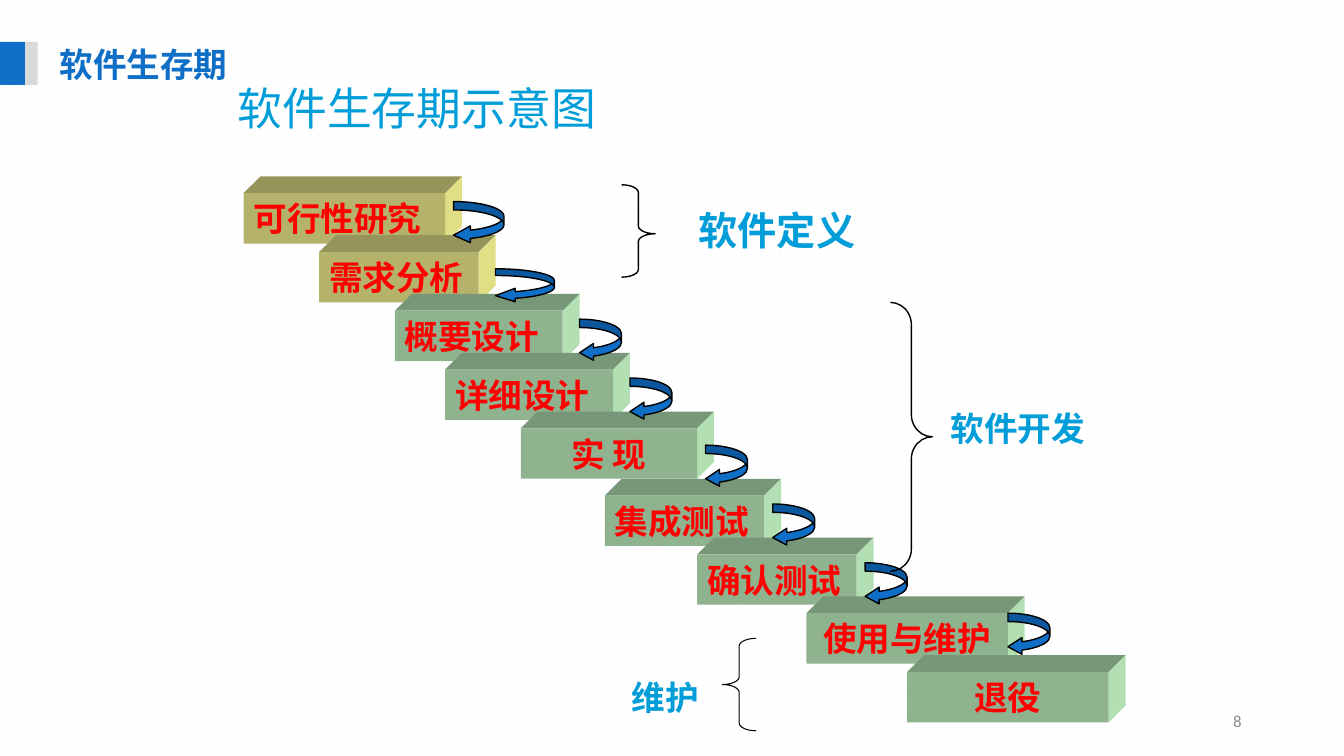
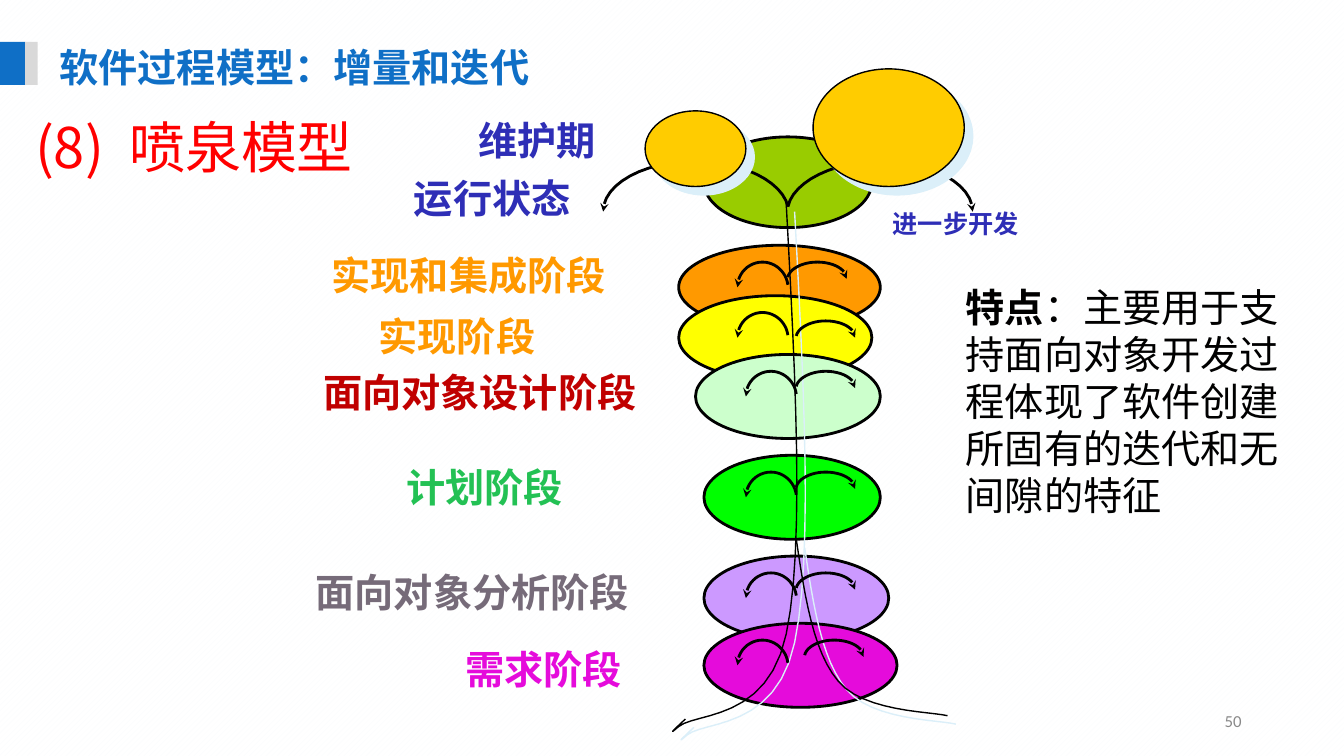
from pptx import Presentation, util as u
from pptx.dml.color import RGBColor
from pptx.enum import dml, shapes, text
from pptx.oxml import parse_xml
from pptx.oxml.ns import nsdecls, qn

COLUMNS, ROWS = 160, 90
CELL = u.Inches(1) // 12
KIND = shapes.MSO_SHAPE
CENTER, LEFT, RIGHT = text.PP_ALIGN.CENTER, text.PP_ALIGN.LEFT, text.PP_ALIGN.RIGHT
SANS, SERIF = "Noto Sans CJK SC", "Times New Roman"
BLUE, CYAN, RED, BLACK = "0F6FC6", "009DD9", "FF0000", "000000"
INDIGO, ORANGE, MAGENTA = "2E2EB6", "FF9900", "E50BDB"
OLIVE_FACES = ("B4B26B", "96945A", "E0DF85")
GREEN_FACES = ("8FB38F", "789778", "B3E0B3")
BLOCK_HEIGHT, BLOCK_DEPTH = 6, 2

BLOCKS = [
    (29, 23, 24, "可行性研究", OLIVE_FACES, LEFT),
    (38, 30, 19, "需求分析", OLIVE_FACES, LEFT),
    (47, 37, 20, "概要设计", GREEN_FACES, LEFT),
    (53, 44, 20, "详细设计", GREEN_FACES, LEFT),
    (62, 51, 21, "实 现", GREEN_FACES, CENTER),
    (72, 59, 19, "集成测试", GREEN_FACES, LEFT),
    (83, 66, 19, "确认测试", GREEN_FACES, LEFT),
    (96, 73, 24, "使用与维护", GREEN_FACES, CENTER),
    (108, 80, 24, "退役", GREEN_FACES, CENTER),
]
STEP_ARROWS = [
    (54, 24, 6, 5), (59, 32, 7, 4), (69, 38, 5, 5), (75, 45, 5, 5),
    (84, 53, 5, 5), (92, 60, 5, 5), (103, 67, 5, 5), (120, 73, 5, 5),
]
BRACES = [
    (KIND.RIGHT_BRACE, (74, 22, 4, 11), (0.23, 0.53), 1),
    (KIND.RIGHT_BRACE, (106, 36, 5, 32), (0.53, 0.5), 1),
    (KIND.LEFT_BRACE, (86, 76, 4, 11), (0.23, 0.5), 0.75),
]
PERIODS = [
    (82, 24, 24, "软件定义", 28),
    (112, 48, 24, "软件开发", 24),
    (74, 80, 11, "维护", 24),
]

# Stage: left, top, width, colour, left arc, right arc, drop of the right arc
STAGES = [
    (80.8, 29.2, 24, ORANGE, 87.8, 100.8, 0),
    (80.8, 35.2, 23, "FFFF00", 87.8, 101.8, 1),
    (82.8, 42.2, 22, "CCFFCC", 88.8, 101.8, 0),
    (83.8, 54.2, 21, "00FF00", 88.8, 101.8, 0),
    (83.8, 66.2, 22, "CC99FF", 88.8, 101.8, 0),
    (83.8, 74.2, 23, MAGENTA, 87.8, 102.8, 0),
]
STAGE_NAMES = [
    (55.8, 13.2, "维护期", INDIGO, 28),
    (48.1, 20.2, "运行状态", INDIGO, 28),
    (105.1, 24.2, "进一步开发", INDIGO, 18),
    (38.3, 29.3, "实现和集成阶段", ORANGE, 28),
    (43.9, 36.6, "实现阶段", ORANGE, 28),
    (37.3, 43.2, "面向对象设计阶段", "C00000", 28),
    (47.2, 54.6, "计划阶段", "23C154", 28),
    (36.4, 67.1, "面向对象分析阶段", "766B79", 28),
    (54.2, 76.2, "需求阶段", MAGENTA, 28),
]
ARC = [(0, 1), (0, 0.45), (0.22, 0), (0.5, 0), (0.75, 0), (0.97, 0.4), (1, 0.9)]
TRUNK = [
    (93.6, 24.2), (94.7, 44.6), (95.8, 65.2), (93.6, 75.5), (91.4, 85.9),
    (82.8, 84.8), (80.8, 86.5), (78.8, 88.2), (81.6, 85.6), (81.6, 85.6),
]
ROOT = [
    (94.8, 64.2), (95.8, 70.9), (96.8, 77.6), (99.8, 81.1),
    (102.8, 84.7), (110.6, 84.7), (112.8, 85.2),
]


def cells(*counts):
    """Turn grid cells into lengths."""
    return [u.Emu(round(count * CELL)) for count in counts]


def paint(hex_colour):
    """Turn a hex string into a colour."""
    return RGBColor.from_string(hex_colour)


def dress(shape, fill=None, line=None, weight=1, shadow=False):
    """Set fill, outline and shadow."""
    shape.shadow.inherit = False
    if fill:
        shape.fill.solid()
        shape.fill.fore_color.rgb = paint(fill)
    else:
        shape.fill.background()
    if line:
        shape.line.color.rgb = paint(line)
        shape.line.width = u.Pt(weight)
    else:
        shape.line.fill.background()
    if shadow:
        shape._element.spPr.find(qn("a:effectLst")).append(parse_xml(
            f'<a:outerShdw {nsdecls("a")} blurRad="0" dist="{u.Pt(8.5)}" dir="2700000" '
            'algn="ctr" rotWithShape="0"><a:srgbClr val="DBEFF9"/></a:outerShdw>'))
    return shape


def preset(slide, kind, box, adjustments=(), **look):
    """Add a preset shape on the grid."""
    shape = slide.shapes.add_shape(kind, *cells(*box))
    for index, value in enumerate(adjustments):
        shape.adjustments[index] = value
    return dress(shape, **look)


def outline(slide, points, close=False, **look):
    """Add a freeform through grid points."""
    start, *others = [cells(*point) for point in points]
    builder = slide.shapes.build_freeform(*start)
    builder.add_line_segments(others, close=close)
    return dress(builder.convert_to_shape(), **look)


def bezier(controls, steps=12):
    """Sample a chain of cubic curves."""
    points = [controls[0]]
    for first in range(0, len(controls) - 1, 3):
        curve = controls[first:first + 4]
        for step in range(1, steps + 1):
            t = step / steps
            weights = ((1 - t) ** 3, 3 * t * (1 - t) ** 2, 3 * t * t * (1 - t), t ** 3)
            points.append(tuple(sum(w * p[axis] for w, p in zip(weights, curve))
                                for axis in (0, 1)))
    return points


def write(shape, runs, size, colour, font=SANS, align=LEFT, spacing=None):
    """Write runs of (text, bold, tracking) into a shape."""
    frame = shape.text_frame
    frame.word_wrap = True
    frame.vertical_anchor = text.MSO_ANCHOR.MIDDLE
    paragraph = frame.paragraphs[0]
    paragraph.alignment = align
    if spacing:
        paragraph.line_spacing = spacing
    for words, bold, tracking in runs:
        run = paragraph.add_run()
        run.text = words
        run.font.size, run.font.bold, run.font.name = u.Pt(size), bold, font
        run.font.color.rgb = paint(colour)
        properties = run._r.get_or_add_rPr()
        properties.append(parse_xml(f'<a:ea {nsdecls("a")} typeface="{SANS}"/>'))
        if tracking:
            properties.set("spc", str(tracking * 100))


def label(slide, left, top, width, words, size, colour, bold=True, **style):
    """Add one line of text, as tall as its size needs."""
    area = slide.shapes.add_textbox(*cells(left, top, width, size / 5 + 1.2))
    write(area, [(words, bold, 0)], size, colour, **style)


def new_slide(deck, heading, heading_size, number):
    """Add a slide with background, header mark, heading and number."""
    slide = deck.slides.add_slide(deck.slide_layouts[6])
    backdrop = slide.background.fill
    backdrop.patterned()
    backdrop.pattern = dml.MSO_PATTERN.WIDE_UPWARD_DIAGONAL
    backdrop.fore_color.rgb = paint("FAFCFD")
    backdrop.back_color.rgb = paint("FFFFFF")
    preset(slide, KIND.RECTANGLE, (0, 5, 3, 5.1), fill=BLUE)
    preset(slide, KIND.RECTANGLE, (3, 5, 1.5, 5.1), fill="D9D9D9")
    label(slide, 5.9, 4.6, 75, heading, heading_size, BLUE)
    label(slide, 113, 84, 36, number, 12, "898989", bold=False, font="Calibri", align=RIGHT)
    return slide


def block(slide, left, top, width, words, faces, align):
    """Add a solid block with a front, top and side face."""
    front, lid, side = faces
    right, bottom, depth = left + width, top + BLOCK_HEIGHT, BLOCK_DEPTH
    outline(slide, [(left, top), (left + depth, top - depth),
                    (right + depth, top - depth), (right, top)], close=True, fill=lid)
    outline(slide, [(right, top), (right + depth, top - depth),
                    (right + depth, bottom - depth), (right, bottom)], close=True, fill=side)
    face = preset(slide, KIND.RECTANGLE, (left, top, width, BLOCK_HEIGHT), fill=front)
    write(face, [(words, True, 0)], 24, RED, font=SERIF, align=align)


def spray(slide, outer, top, width, height):
    """Add an arc with its arrowhead at the outer end; a negative width mirrors it."""
    points = bezier([(outer + x * width, top + y * height) for x, y in ARC])
    arc = outline(slide, points, line=BLACK, weight=2)
    arc.line._get_or_add_ln().append(parse_xml(f'<a:headEnd {nsdecls("a")} type="stealth"/>'))


def life_cycle(deck):
    """Build the staircase of life cycle phases."""
    slide = new_slide(deck, "软件生存期", 24, "8")
    label(slide, 27.1, 9, 76, "软件生存期示意图", 32, CYAN, bold=False)
    for phase in BLOCKS:
        block(slide, *phase)
    for left, top, width, height in STEP_ARROWS:
        preset(slide, KIND.CURVED_LEFT_ARROW, (left, top, width, height),
               (0.2, 0.4, width / height / 3), fill=BLUE, line=BLACK)
    for kind, box, bends, weight in BRACES:
        preset(slide, kind, box, bends, line=BLACK, weight=weight)
    for left, top, width, words, size in PERIODS:
        label(slide, left, top, width, words, size, CYAN, font=SERIF)


def fountain(deck):
    """Build the fountain model."""
    slide = new_slide(deck, "软件过程模型：增量和迭代", 28, "50")
    preset(slide, KIND.OVAL, (83.8, 16.3, 20, 10.8), fill="99CC00", line=BLACK, weight=2)
    spray(slide, 71.8, 19.2, 22, 6)
    spray(slide, 115.8, 19.2, -22, 6)
    for cloud in ((76.8, 13.2, 12, 9), (96.8, 8.2, 18, 14)):
        preset(slide, KIND.OVAL, cloud, fill="FFCC00", line=BLACK, shadow=True)
    for left, top, width, colour, *_ in STAGES:
        preset(slide, KIND.OVAL, (left, top, width, 10), fill=colour, line=BLACK, weight=2)
    for stem in (TRUNK, ROOT):
        outline(slide, bezier(stem), line=BLACK, shadow=True)
    for _, top, _, _, left_arc, right_arc, drop in STAGES:
        spray(slide, left_arc, top + 2, 6, 3)
        spray(slide, right_arc, top + 2 + drop, -7, 2)
    for left, top, words, colour, size in STAGE_NAMES:
        label(slide, left, top, 45, words, size, colour)
    traits = slide.shapes.add_textbox(*cells(113.8, 33, 42.2, 29.5))
    write(traits, [("特点", True, 0),
                   ("：主要用于支持面向对象开发过程体现了软件创建所固有的迭代和无间隙的特征", False, 0)],
          28, BLACK, font=SERIF, spacing=u.Pt(33.6))
    subject = slide.shapes.add_textbox(*cells(3, 13.4, 86, 9.1))
    write(subject, [("(8)", False, 0), (" ", False, 9), ("喷泉模型", False, 0)],
          40, RED, spacing=0.9)


def main():
    """Build and save the deck."""
    deck = Presentation()
    deck.slide_width, deck.slide_height = cells(COLUMNS, ROWS)
    life_cycle(deck)
    fountain(deck)
    deck.save("out.pptx")


if __name__ == "__main__":
    main()
